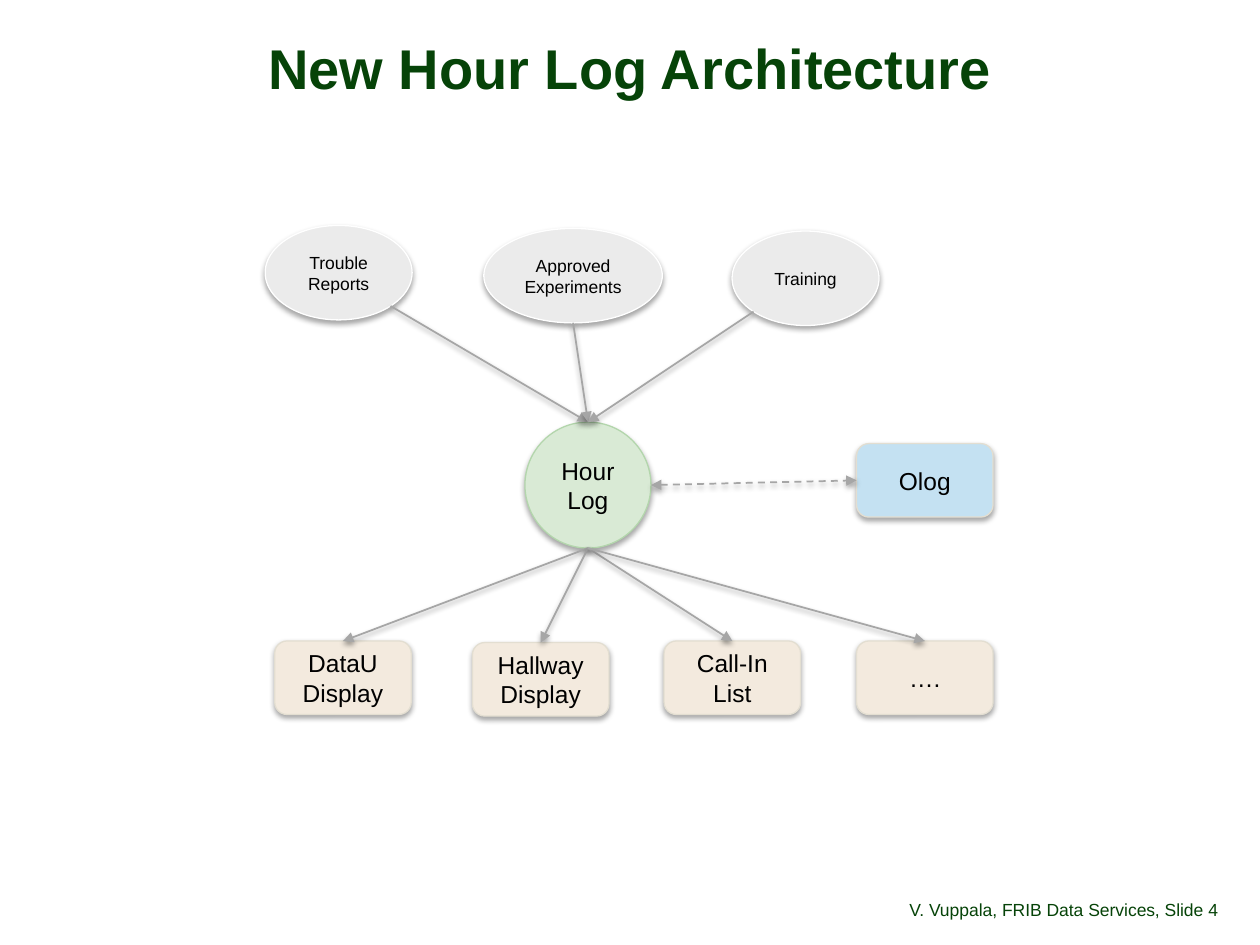
from math import sqrt

from lxml.etree import SubElement
from pptx import Presentation
from pptx.dml.color import RGBColor
from pptx.enum.dml import MSO_LINE
from pptx.enum.shapes import MSO_CONNECTOR, MSO_SHAPE
from pptx.enum.text import MSO_ANCHOR, MSO_AUTO_SIZE, PP_ALIGN
from pptx.oxml.ns import qn
from pptx.util import Pt

TITLE = "New Hour Log Architecture"
FOOTERS = [
    ("V. Vuppala, FRIB Data Services", 326, 334, PP_ALIGN.RIGHT),
    (", Slide 4", 660, 60, PP_ALIGN.LEFT),
]
FONT = "Arial"
COLORS = {
    "heading": "064308", "text": "000000", "arrow": "A6A6A6", "shadow": "000000",
    "source": "EBEBEB", "source_line": "FFFFFF",
    "hub": "D9EAD5", "hub_line": "B3D6AC",
    "display": "F3EADE", "display_line": "E3DED1",
    "olog": "C4E1F2", "olog_line": "E3DED1",
}
STYLES = {
    "source": (MSO_SHAPE.OVAL, 54, 10),
    "hub": (MSO_SHAPE.OVAL, 72, 14),
    "display": (MSO_SHAPE.ROUNDED_RECTANGLE, 42, 14),
    "olog": (MSO_SHAPE.ROUNDED_RECTANGLE, 42, 14),
}
NODES = [
    ("Olog", "olog", 489.5, 253.5, 78),
    ("Trouble Reports", "source", 151.5, 128.8, 84),
    ("Approved Experiments", "source", 276.5, 130.5, 102),
    ("Training", "source", 418.3, 132, 84),
    ("DataU Display", "display", 157, 366.3, 78),
    ("Hallway Display", "display", 270, 367.2, 78),
    ("Call-In List", "display", 379.5, 366.3, 78),
    ("….", "display", 489.5, 366.3, 78),
    ("Hour Log", "hub", 300, 241.2, 72),
]
DIAGONAL = sqrt(0.5)
OVAL_SITES = {
    "top": (0, 0, -1), "bottom_left": (3, -DIAGONAL, DIAGONAL), "bottom": (4, 0, 1),
    "bottom_right": (5, DIAGONAL, DIAGONAL), "right": (6, 1, 0),
}
BOX_SITES = {"top": (0, 0, -1), "left": (1, -1, 0)}
LINKS = [
    ("Trouble Reports", "bottom_right", "Hour Log", "top"),
    ("Approved Experiments", "bottom", "Hour Log", "top"),
    ("Training", "bottom_left", "Hour Log", "top"),
    ("Hour Log", "bottom", "DataU Display", "top"),
    ("Hour Log", "bottom", "Hallway Display", "top"),
    ("Hour Log", "bottom", "Call-In List", "top"),
    ("Hour Log", "bottom", "….", "top"),
    ("Hour Log", "right", "Olog", "left"),
]


def color(name):
    return RGBColor.from_string(COLORS[name])


def write(shape, text, size, color_name, align, anchor, spacing=None, bold=False):
    frame = shape.text_frame
    frame.text = text
    frame.word_wrap = True
    frame.vertical_anchor = anchor
    paragraph = frame.paragraphs[0]
    paragraph.alignment = align
    if spacing:
        paragraph.line_spacing = spacing
    font = paragraph.runs[0].font
    font.name, font.size, font.bold = FONT, Pt(size), bold
    font.color.rgb = color(color_name)
    return frame


def add_shadow(shape, distance, opacity):
    properties = shape._element.spPr
    effects = properties.find(qn("a:effectLst"))
    if effects is None:
        effects = SubElement(properties, qn("a:effectLst"))
    shadow = SubElement(effects, qn("a:outerShdw"), blurRad=str(Pt(3.15)),
                        dist=str(Pt(distance)), dir="5400000", rotWithShape="0")
    tint = SubElement(shadow, qn("a:srgbClr"), val=COLORS["shadow"])
    SubElement(tint, qn("a:alpha"), val=str(opacity * 1000))


def add_node(slide, text, style, left, top, width):
    kind, height, size = STYLES[style]
    shape = slide.shapes.add_shape(kind, Pt(left), Pt(top), Pt(width), Pt(height))
    shape.fill.solid()
    shape.fill.fore_color.rgb = color(style)
    shape.line.color.rgb = color(style + "_line")
    shape.line.width = Pt(0.75)
    shape.shadow.inherit = False
    add_shadow(shape, 1.8, 35)
    write(shape, text, size, "text", PP_ALIGN.CENTER, MSO_ANCHOR.MIDDLE)
    return shape


def locate(shape, side):
    is_oval = shape.auto_shape_type == MSO_SHAPE.OVAL
    index, across, down = (OVAL_SITES if is_oval else BOX_SITES)[side]
    x = shape.left + shape.width * (1 + across) / 2
    y = shape.top + shape.height * (1 + down) / 2
    return index, round(x), round(y)


def add_link(slide, start, start_side, end, end_side, two_way):
    start_site, *start_point = locate(start, start_side)
    end_site, *end_point = locate(end, end_side)
    connector = slide.shapes.add_connector(MSO_CONNECTOR.STRAIGHT, *start_point, *end_point)
    glue = connector._element.find(".//" + qn("p:cNvCxnSpPr"))
    SubElement(glue, qn("a:stCxn"), id=str(start.shape_id), idx=str(start_site))
    SubElement(glue, qn("a:endCxn"), id=str(end.shape_id), idx=str(end_site))
    connector.line.color.rgb = color("arrow")
    connector.line.width = Pt(1)
    outline = connector._element.spPr.find(qn("a:ln"))
    if two_way:
        connector.line.dash_style = MSO_LINE.DASH
        SubElement(outline, qn("a:headEnd"), type="triangle")
    SubElement(outline, qn("a:tailEnd"), type="triangle")
    add_shadow(connector, 1.6, 38)


def main():
    """Build the Hour Log architecture slide."""
    presentation = Presentation()
    presentation.slide_width, presentation.slide_height = Pt(720), Pt(540)
    slide = presentation.slides.add_slide(presentation.slide_layouts[5])

    title = slide.shapes.title
    title.left, title.top, title.width, title.height = Pt(6), Pt(22.2), Pt(708), Pt(38)
    frame = write(title, TITLE, 32, "heading", PP_ALIGN.CENTER, MSO_ANCHOR.MIDDLE, 0.88, True)
    frame.margin_left = frame.margin_right = Pt(4.5)
    frame.margin_top = frame.margin_bottom = Pt(1.5)
    frame.auto_size = MSO_AUTO_SIZE.SHAPE_TO_FIT_TEXT

    for text, left, width, align in FOOTERS:
        box = slide.shapes.add_textbox(Pt(left), Pt(500.5), Pt(width), Pt(28.8))
        frame = write(box, text, 10, "heading", align, MSO_ANCHOR.BOTTOM, 0.9)
        frame.margin_left = frame.margin_right = 0

    nodes = {node[0]: add_node(slide, *node) for node in NODES}
    for start, start_side, end, end_side in LINKS:
        add_link(slide, nodes[start], start_side, nodes[end], end_side, end == "Olog")

    presentation.save("out.pptx")


if __name__ == "__main__":
    main()
